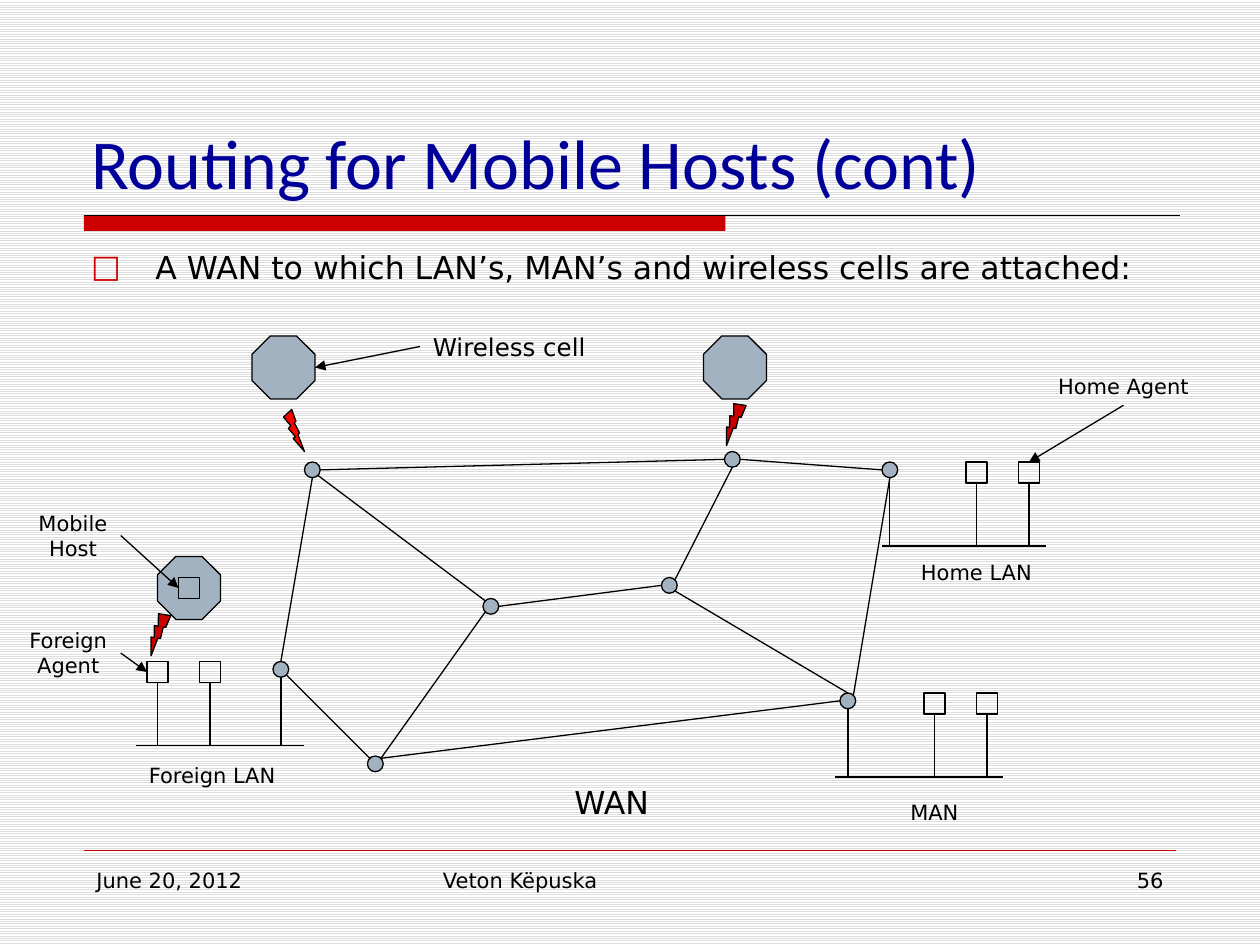
from lxml import etree
from pptx import Presentation
from pptx.dml.color import RGBColor
from pptx.enum.dml import MSO_PATTERN
from pptx.enum.shapes import MSO_CONNECTOR, MSO_SHAPE
from pptx.enum.text import MSO_ANCHOR, PP_ALIGN
from pptx.oxml.ns import qn
from pptx.util import Inches, Pt

LINE = MSO_CONNECTOR.STRAIGHT
RECT, OVAL = MSO_SHAPE.RECTANGLE, MSO_SHAPE.OVAL
CELL, BOLT = MSO_SHAPE.OCTAGON, MSO_SHAPE.LIGHTNING_BOLT
LEFT, MID, RIGHT = PP_ALIGN.LEFT, PP_ALIGN.CENTER, PP_ALIGN.RIGHT
TOP, BASE = MSO_ANCHOR.TOP, MSO_ANCHOR.BOTTOM
HATCH = MSO_PATTERN.LIGHT_HORIZONTAL

COLS, ROWS = 120, 90
WIDE, HIGH = Inches(10), Inches(7.5)
HUES = {"ink": "000000", "navy": "000099", "red": "CC0000", "flame": "FF0000",
        "steel": "A3B2C1", "stripe": "DDDDDD", "white": "FFFFFF"}
SIZE = 1.5
HALF = SIZE / 2
SLANT = HALF * 0.71
SIDES = {"n": (0, -HALF), "s": (0, HALF), "w": (-HALF, 0), "e": (HALF, 0),
         "nw": (-SLANT, -SLANT), "ne": (SLANT, -SLANT),
         "sw": (-SLANT, SLANT), "se": (SLANT, SLANT)}
NODES = {"A": (29, 44), "B": (26, 63), "C": (35, 72), "D": (80, 66),
         "E": (63, 55), "F": (84, 44), "G": (69, 43), "H": (46, 57)}
LINKS = ["B n A s", "H nw A se", "E ne G s", "E w H e", "D w C ne", "E se D n",
         "F s D ne", "G w A e", "C nw B se", "C ne H sw", "F w G e"]
CELLS = [(24, 32), (67, 32), (15, 53)]
BOLTS = [(27, 39, 2, 4, "flame", 0), (13.8, 58.2, 2.4, 4, "red", 46.1),
         (68.6, 38.2, 2.4, 4, "red", 46.1)]
LANS = [("B", 13, 29, 63, (14, 19)), ("D", 79.5, 95.5, 66, (88, 93)),
        ("F", 84, 99.6, 44, (92, 97))]
ARROWS = [(40, 33, 30, 35), (11.5, 62.2, 14, 64), (11.5, 51, 17, 56),
          (107, 38.6, 98, 44)]
LABELS = [("Wireless cell", 40, 31, 17, 4, 14),
          ("Foreign LAN", 11.5, 72, 17.4, 3.6, 12),
          ("Foreign Agent", 1.5, 59.2, 10, 6, 12),
          ("Mobile Host", 2.4, 48, 9.1, 6, 12),
          ("MAN", 80, 75.6, 18, 3.6, 12),
          ("Home LAN", 84, 52.7, 18, 3.6, 12),
          ("Home Agent", 98, 35, 18, 3.6, 12),
          ("WAN", 47.5, 74, 21.5, 4.8, 18)]
FOOT = [("June 20, 2012", 8, LEFT, 26), ("Veton Këpuska", 41, LEFT, 38),
        ("56", 86, RIGHT, 26)]


class Board:
    """Holds the style and the current slide, measured on a grid of cells."""

    def __init__(self, deck):
        self.slide = deck.slides.add_slide(deck.slide_layouts[5])
        self.shapes = self.slide.shapes
        fill = self.slide.background.fill
        fill.patterned()
        fill.pattern = HATCH
        fill.fore_color.rgb = self.hue("stripe")
        fill.back_color.rgb = self.hue("white")

    def hue(self, name):
        return RGBColor.from_string(HUES[name])

    def spot(self, x, y):
        return round(x * WIDE / COLS), round(y * HIGH / ROWS)

    def letter(self, frame, text, size, hue="ink", face="DejaVu Sans",
               align=MID, anchor=TOP):
        for key, value in {"text": text, "word_wrap": True,
                           "vertical_anchor": anchor}.items():
            setattr(frame, key, value)
        para = frame.paragraphs[0]
        para.alignment = align
        font = para.runs[0].font
        for key, value in {"size": Pt(size), "name": face, "bold": False}.items():
            setattr(font, key, value)
        font.color.rgb = self.hue(hue)
        return para

    def title(self, text, x, y, w, h):
        box = self.shapes.title
        place = self.spot(x, y) + self.spot(w, h)
        for key, value in zip(("left", "top", "width", "height"), place):
            setattr(box, key, value)
        self.letter(box.text_frame, text, 40, "navy", "Calibri", LEFT, BASE)

    def label(self, text, x, y, w, h, size, align=MID):
        box = self.shapes.add_textbox(*self.spot(x, y), *self.spot(w, h))
        return self.letter(box.text_frame, text, size, align=align)

    def bullet(self, text, x, y, w, h):
        props = self.label(text, x, y, w, h, 18, LEFT)._p.get_or_add_pPr()
        inset = Inches(0.51)
        props.set("marL", str(inset))
        props.set("indent", str(-inset))
        tint = etree.SubElement(props, qn("a:buClr"))
        etree.SubElement(tint, qn("a:srgbClr"), val=HUES["red"])
        etree.SubElement(props, qn("a:buFont"), typeface="DejaVu Sans")
        etree.SubElement(props, qn("a:buChar"), char="□")

    def shape(self, kind, x, y, w, h, hue=None, turn=0, edge=True):
        form = self.shapes.add_shape(kind, *self.spot(x, y), *self.spot(w, h))
        form.shadow.inherit = False
        form.rotation = turn
        if hue:
            form.fill.solid()
            form.fill.fore_color.rgb = self.hue(hue)
        else:
            form.fill.background()
        if edge:
            form.line.color.rgb = self.hue("ink")
            form.line.width = Pt(0.75)
        else:
            form.line.fill.background()

    def line(self, x, y, to_x, to_y, hue="ink", width=0.75, head=False):
        wire = self.shapes.add_connector(LINE, *self.spot(x, y),
                                         *self.spot(to_x, to_y))
        wire.line.color.rgb = self.hue(hue)
        wire.line.width = Pt(width)
        if head:
            etree.SubElement(wire.line._ln, qn("a:tailEnd"), type="triangle")
        etree.SubElement(wire._element.spPr, qn("a:effectLst"))

    def port(self, node, side):
        return tuple(at + HALF + step
                     for at, step in zip(NODES[node], SIDES[side]))

    def link(self, start, side, end, face):
        self.line(*self.port(start, side), *self.port(end, face))

    def lan(self, node, left, right, top, hosts):
        bus = top + 8
        self.line(left, bus, right, bus)
        x, y = self.port(node, "s")
        self.line(x, y, x, bus)
        for host in hosts:
            self.shape(RECT, host, top, 2, 2)
            self.line(host + 1, top + 2, host + 1, bus)


def main():
    deck = Presentation()
    deck.slide_width, deck.slide_height = WIDE, HIGH
    board = Board(deck)
    board.shape(RECT, 8, 20.5, 61.1, 1.5, "red", edge=False)
    board.line(8, 20.5, 112.4, 20.5)
    board.line(8, 81, 112, 81, "red", 0.25)
    for text, x, align, w in FOOT:
        board.label(text, x, 82, w, 6.2, 12, align)
    board.title("Routing for Mobile Hosts (cont)", 7.5, 4, 105, 16)
    board.bullet("A WAN to which LAN’s, MAN’s and wireless cells are attached:",
                 7.5, 23, 105, 56)
    for x, y in NODES.values():
        board.shape(OVAL, x, y, SIZE, SIZE, "steel")
    for link in LINKS:
        board.link(*link.split())
    for x, y in CELLS:
        board.shape(CELL, x, y, 6, 6, "steel")
    for bolt in BOLTS:
        board.shape(BOLT, *bolt)
    board.shape(RECT, 17, 55, 2, 2)
    for lan in LANS:
        board.lan(*lan)
    for arrow in ARROWS:
        board.line(*arrow, head=True)
    for label in LABELS:
        board.label(*label)
    deck.save("out.pptx")


if __name__ == "__main__":
    main()
